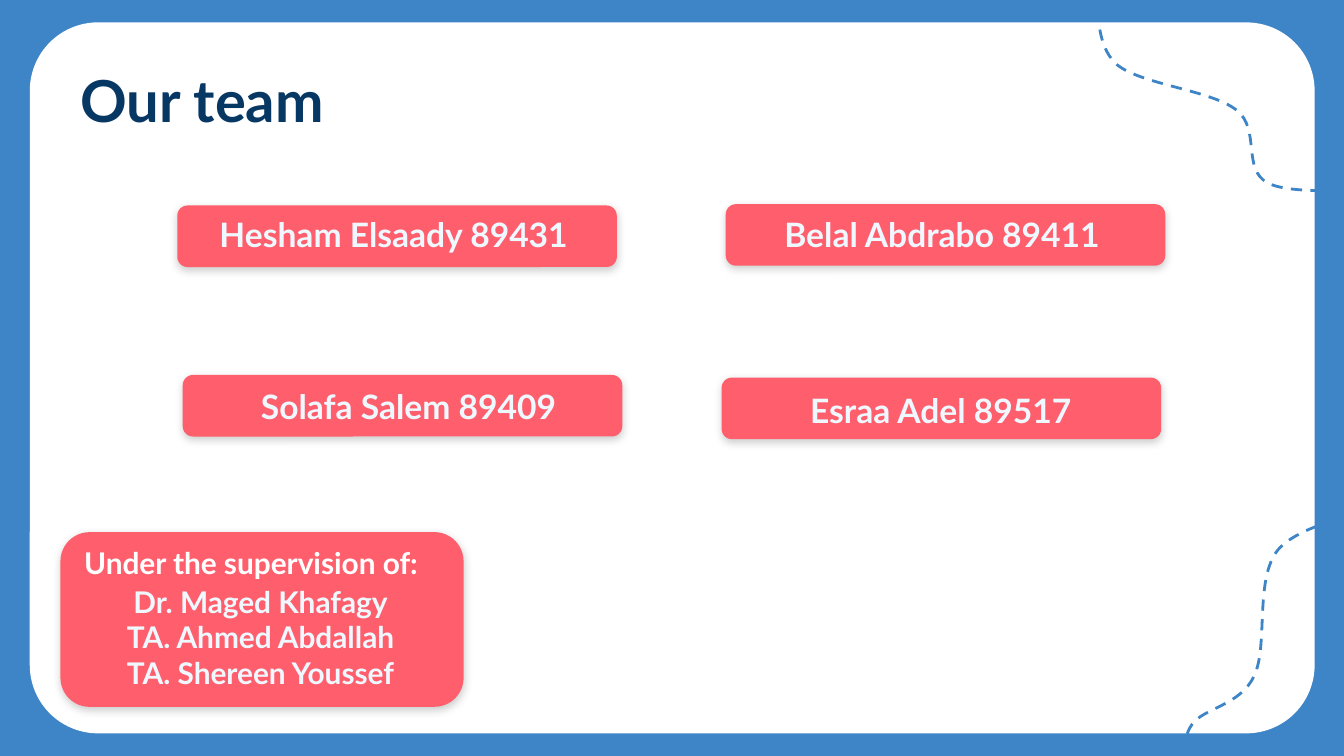
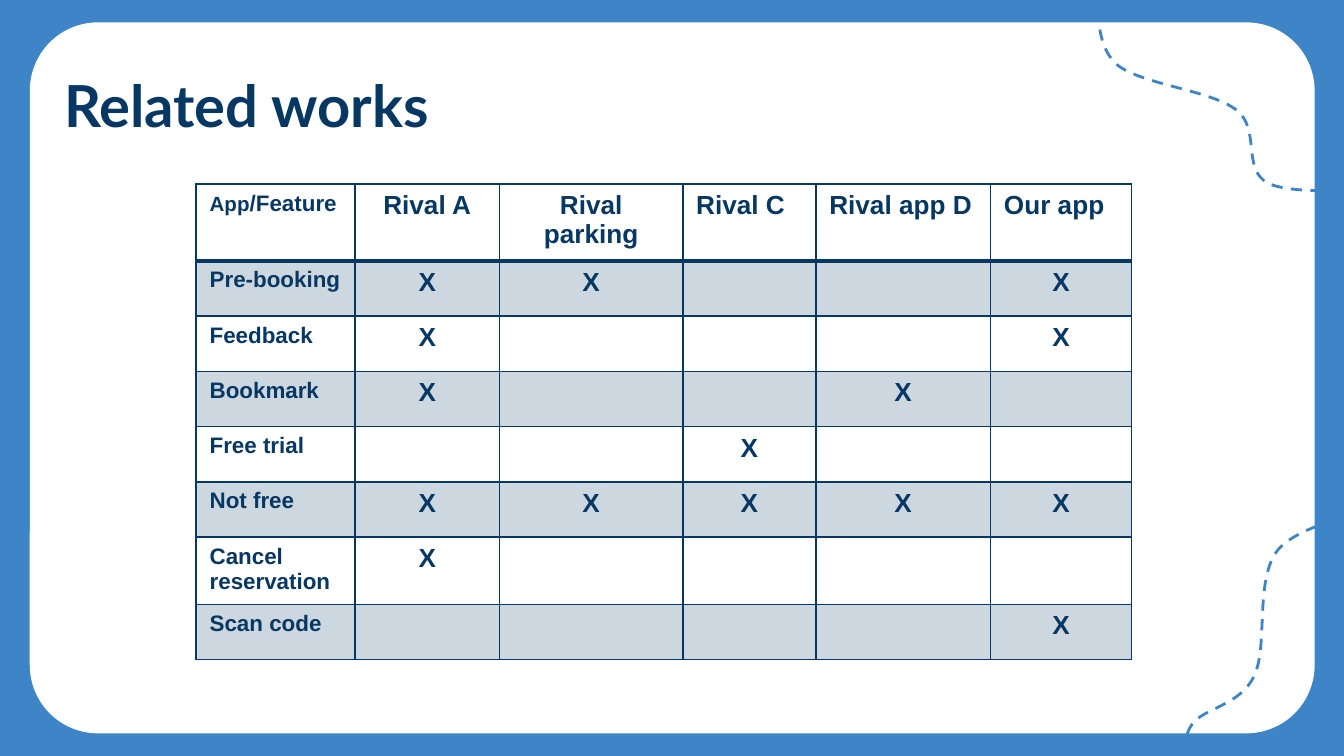
from lxml import etree
from pptx import Presentation
from pptx.dml.color import RGBColor
from pptx.enum.dml import MSO_LINE
from pptx.enum.shapes import MSO_SHAPE
from pptx.enum.text import PP_ALIGN
from pptx.oxml.ns import qn
from pptx.util import Pt

ROUNDED = MSO_SHAPE.ROUNDED_RECTANGLE
DASH = MSO_LINE.DASH
LEFT, CENTER = PP_ALIGN.LEFT, PP_ALIGN.CENTER

COLORS = {
    "blue": "3D85C6",
    "navy": "073763",
    "coral": "FF5F6C",
    "ice": "F0F8FF",
    "white": "FFFFFF",
    "black": "000000",
}
INSET = 7.2

# Each curve is a start point followed by triples of Bézier points.
TOP_CURVE = [
    (586.8, -5), (589, 1.4), (586, 23.8), (598.3, 34.6),
    (611.3, 45.4), (648.7, 48.2), (662.4, 59),
    (675.4, 69.1), (665.3, 90.7), (679, 97.9),
    (691.9, 105.1), (733, 100.8), (743.8, 101.5),
]
BOTTOM_CURVE = [
    (635.8, 414), (635.8, 409.7), (632.2, 396.7), (638.6, 388.1),
    (644.4, 379.4), (664.6, 378), (671.8, 362.2),
    (679.7, 346.3), (671.8, 310.3), (684.7, 294.5),
    (697.7, 279.4), (738, 273.6), (748.8, 269.3),
]

# Label, badge left and top, text left and top
MEMBERS = [
    ("Hesham Elsaady 89431 ", 95, 110.1, 97.9, 107.3),
    ("Belal Abdrabo 89411", 388.8, 109.4, 389.5, 107.3),
    ("Solafa Salem 89409", 97.9, 200.9, 103.7, 199.4),
    ("Esraa Adel 89517", 386.6, 202.3, 388.8, 201.6),
]
SUPERVISORS = ["Dr. Maged Khafagy", "TA. Ahmed Abdallah", "TA. Shereen Youssef"]

APPS = ["Rival A", "Rival parking", "Rival C", "Rival app D", "Our app"]
CENTERED_APPS = 2
FEATURES = [
    ("Pre-booking", "XX--X"),
    ("Feedback", "X---X"),
    ("Bookmark", "X--X-"),
    ("Free trial", "--X--"),
    ("Not free", "XXXXX"),
    ("Cancel reservation", "X----"),
    ("Scan code", "----X"),
]
COLUMN_WIDTHS = [85, 77.6, 98.1, 71.3, 93.6, 75.6]
HEADER_HEIGHT, ROW_HEIGHT = 41.2, 29.6


def rgb(name):
    return RGBColor.from_string(COLORS[name])


def add_color(parent, name, alpha=None):
    color = etree.SubElement(parent, qn("a:srgbClr"), val=COLORS[name])
    if alpha is not None:
        etree.SubElement(color, qn("a:alpha"), val=str(alpha * 1000))


def add_span(para, text, size, color, font):
    span = para.add_run()
    span.text = text
    span.font.size = Pt(size)
    span.font.bold = True
    span.font.name = font
    span.font.color.rgb = rgb(color)


def add_text(page, lines, left, top, width, height, size, color, align=CENTER):
    box = page.shapes.add_textbox(Pt(left), Pt(top), Pt(width), Pt(height))
    frame = box.text_frame
    frame.word_wrap = True
    frame.margin_left = frame.margin_right = Pt(INSET)
    frame.margin_top = frame.margin_bottom = Pt(INSET)
    for index, line in enumerate(lines):
        para = frame.add_paragraph() if index else frame.paragraphs[0]
        para.alignment = align
        add_span(para, line, size, color, "Lato")


def add_panel(page, left, top, width, height, color, corner):
    panel = page.shapes.add_shape(ROUNDED, Pt(left), Pt(top), Pt(width), Pt(height))
    panel.adjustments[0] = corner
    panel.fill.solid()
    panel.fill.fore_color.rgb = rgb(color)
    panel.line.fill.background()
    panel.shadow.inherit = False
    return panel


def add_badge(page, left, top, width, height):
    """Coral panel with a soft shadow below it."""
    badge = add_panel(page, left, top, width, height, "coral", 0.167)
    effects = badge._element.spPr.find(qn("a:effectLst"))
    shadow = etree.SubElement(
        effects, qn("a:outerShdw"), blurRad=str(Pt(4.5)), dist=str(Pt(1.5)),
        dir="5400000", algn="bl", rotWithShape="0")
    add_color(shadow, "black", 20)


def add_curve(page, points):
    """Dashed open curve; the straight segments become cubic Béziers."""
    points = [(Pt(x), Pt(y)) for x, y in points]
    builder = page.shapes.build_freeform(*points[0], scale=1)
    builder.add_line_segments(points[1:], close=False)
    curve = builder.convert_to_shape()
    segments = curve._element.xpath(".//a:lnTo")
    for start in range(0, len(segments), 3):
        cubic = etree.Element(qn("a:cubicBezTo"))
        segments[start].addprevious(cubic)
        for segment in segments[start:start + 3]:
            cubic.append(segment[0])
            segment.getparent().remove(segment)
    curve.fill.background()
    curve.line.color.rgb = rgb("blue")
    curve.line.width = Pt(1.5)
    curve.line.dash_style = DASH
    curve.shadow.inherit = False


def add_page(deck):
    page = deck.slides.add_slide(deck.slide_layouts[6])
    page.background.fill.solid()
    page.background.fill.fore_color.rgb = rgb("blue")
    add_panel(page, 16, 12, 688.3, 380.9, "white", 0.048 * 2)
    add_curve(page, TOP_CURVE)
    add_curve(page, BOTTOM_CURVE)
    return page


def add_title(page, text, left, top):
    add_text(page, [text], left, top, 580, 49.7, 31, "navy", LEFT)


def set_borders(cell, top, bottom):
    properties = cell._tc.get_or_add_tcPr()
    for side, width in (("L", 1), ("R", 1), ("T", top), ("B", bottom)):
        line = etree.SubElement(properties, qn(f"a:ln{side}"), w=str(Pt(width)))
        add_color(etree.SubElement(line, qn("a:solidFill")), "navy")


def fill_cell(cell, shaded):
    if not shaded:
        cell.fill.background()
        return
    cell.fill.solid()
    cell.fill.fore_color.rgb = rgb("navy")
    color = cell._tc.tcPr.find(qn("a:solidFill"))[0]
    etree.SubElement(color, qn("a:alpha"), val="20000")


def write_cell(cell, spans, align=LEFT):
    para = cell.text_frame.paragraphs[0]
    para.alignment = align
    for text, size in spans:
        add_span(para, text, size, "navy", "Arial")


def add_feature_table(page, left, top):
    row_count = len(FEATURES) + 1
    height = HEADER_HEIGHT + ROW_HEIGHT * len(FEATURES)
    table = page.shapes.add_table(
        row_count, len(COLUMN_WIDTHS), Pt(left), Pt(top),
        Pt(sum(COLUMN_WIDTHS)), Pt(height)).table
    table.first_row = table.horz_banding = False
    for column, width in zip(table.columns, COLUMN_WIDTHS):
        column.width = Pt(width)
    for index, row in enumerate(table.rows):
        row.height = Pt(ROW_HEIGHT if index else HEADER_HEIGHT)
        for cell in row.cells:
            set_borders(cell, 2 if index == 1 else 1, 1 if index else 2)
            fill_cell(cell, index % 2 == 1)

    write_cell(table.cell(0, 0), [("App", 11), ("/Feature", 12)])
    for column, app in enumerate(APPS, 1):
        align = CENTER if column <= CENTERED_APPS else LEFT
        write_cell(table.cell(0, column), [(app, 14)], align)
    for index, (feature, marks) in enumerate(FEATURES, 1):
        write_cell(table.cell(index, 0), [(feature, 12)])
        for column, mark in enumerate(marks, 1):
            if mark == "X":
                write_cell(table.cell(index, column), [(mark, 14)], CENTER)


def build_team(deck):
    page = add_page(deck)
    add_title(page, "Our team", 36, 27.4)
    for name, left, top, text_left, text_top in MEMBERS:
        add_badge(page, left, top, 235.5, 33)
        add_text(page, [name], text_left, text_top, 230.4, 27.4, 18, "ice")
    add_badge(page, 32.4, 285.1, 216, 93.6)
    add_text(page, SUPERVISORS, 41, 305.3, 197.3, 69.1, 16, "ice")
    add_text(page, ["Under the supervision of:"], 26.6, 284.4, 216, 41, 16, "white")


def build_related_works(deck):
    page = add_page(deck)
    add_feature_table(page, 105.1, 98.6)
    add_title(page, "Related works", 27.4, 30.2)


def main():
    deck = Presentation()
    deck.slide_width, deck.slide_height = Pt(720), Pt(405)
    build_team(deck)
    build_related_works(deck)
    deck.save("out.pptx")


if __name__ == "__main__":
    main()
